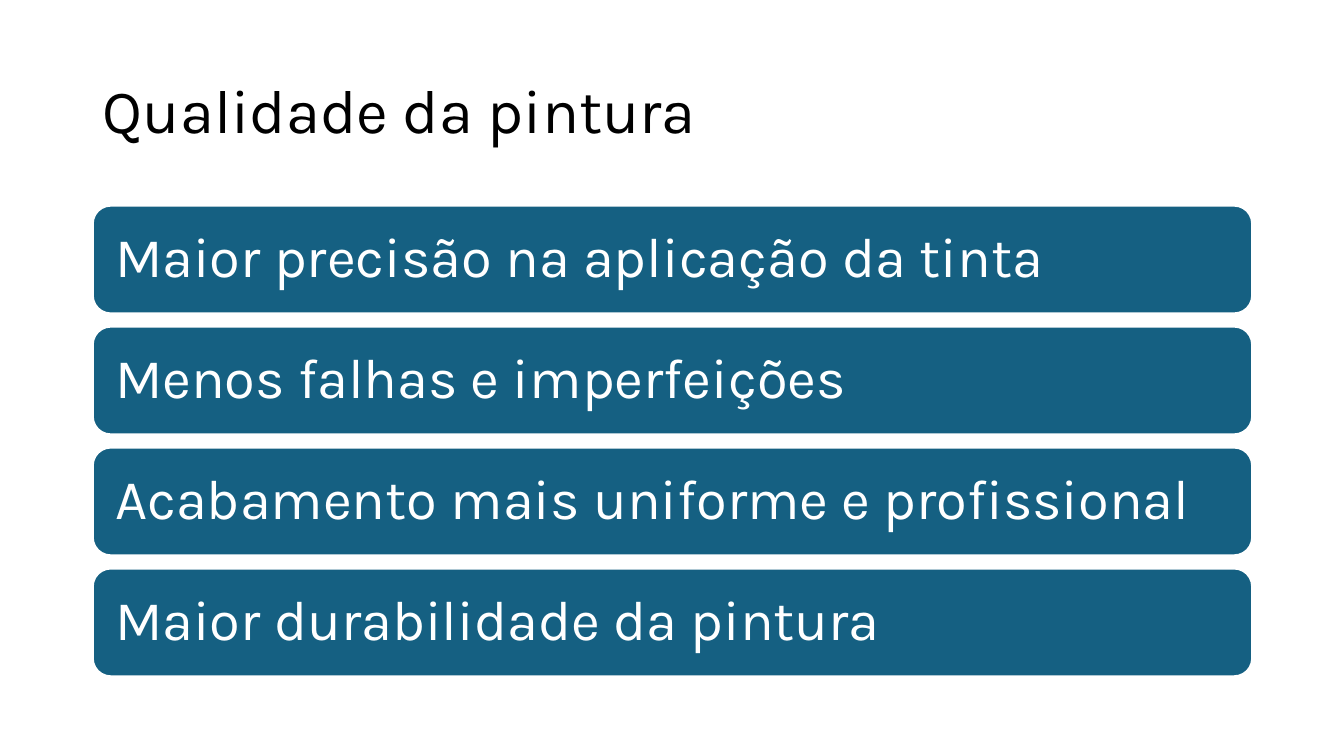
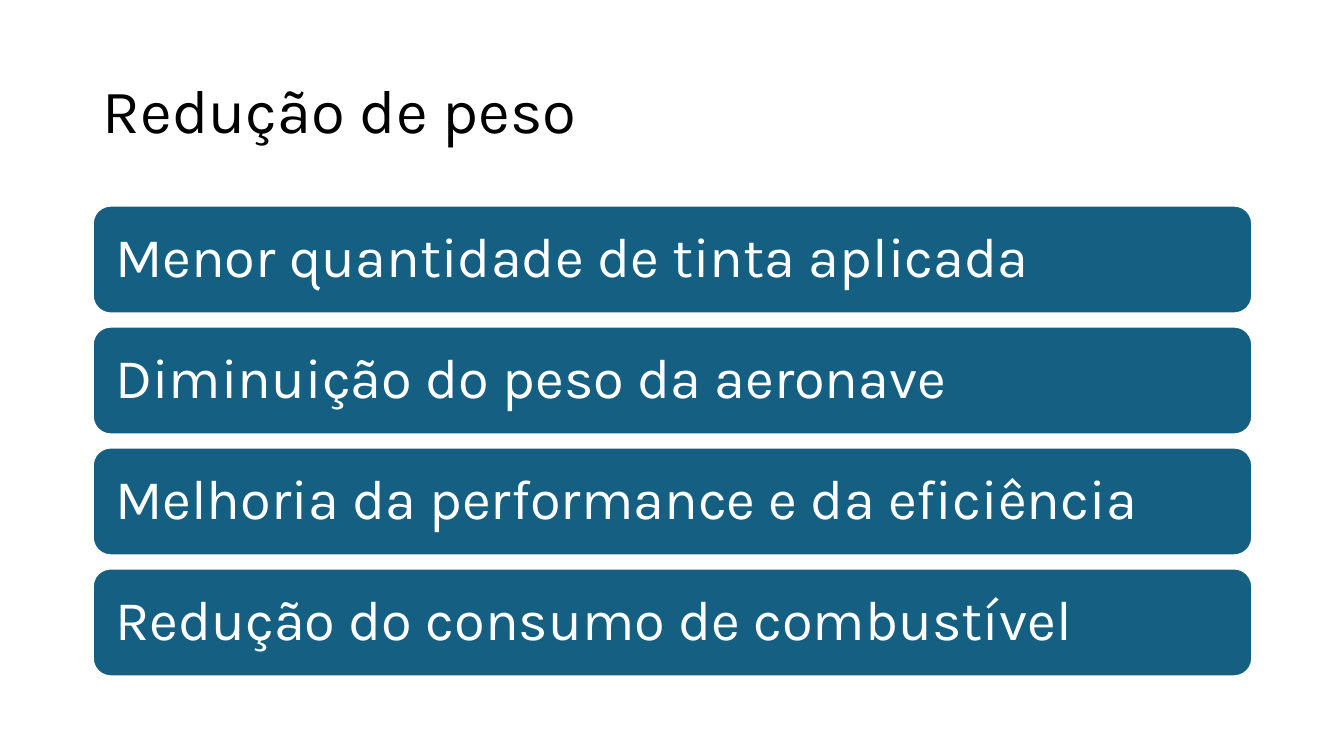
import dataclasses

import pptx
import pptx.dml.color
import pptx.enum.shapes
import pptx.enum.text
import pptx.util

SLIDES = [
    ("Qualidade da pintura", [
        "Maior precisão na aplicação da tinta",
        "Menos falhas e imperfeições",
        "Acabamento mais uniforme e profissional",
        "Maior durabilidade da pintura",
    ]),
    ("Redução de peso", [
        "Menor quantidade de tinta aplicada",
        "Diminuição do peso da aeronave",
        "Melhoria da performance e da eficiência",
        "Redução do consumo de combustível",
    ]),
]


@dataclasses.dataclass(frozen=True)
class Theme:
    font: str = "Karla"
    title_size: int = 44
    bar_size: int = 40
    line_spacing: float = 0.9
    ink: str = "000000"
    paper: str = "FFFFFF"
    bar: str = "156082"
    outline: float = 1.5


THEME = Theme()

# Lengths in inches
WIDTH, HEIGHT = 13.33, 7.5
MARGIN = 0.92
CONTENT_WIDTH = 11.5
TITLE_TOP, TITLE_HEIGHT = 0.4, 1.45
BARS_TOP, BAR_HEIGHT, BAR_PITCH = 2.04, 1.07, 1.2
TITLE_INSETS = (0.1, 0.05)
BAR_INSETS = (0.17, 0.17)


def rgb(color):
    return pptx.dml.color.RGBColor.from_string(color)


def place(shape, top, height):
    """Put a shape in the content column."""
    shape.left, shape.top, shape.width, shape.height = map(
        pptx.util.Inches, (MARGIN, top, CONTENT_WIDTH, height))


def write(shape, text, size, color, insets):
    """Fill a shape with one left-aligned, vertically centred line."""
    frame = shape.text_frame
    frame.word_wrap = True
    frame.auto_size = pptx.enum.text.MSO_AUTO_SIZE.NONE
    frame.vertical_anchor = pptx.enum.text.MSO_ANCHOR.MIDDLE
    across, down = map(pptx.util.Inches, insets)
    frame.margin_left = frame.margin_right = across
    frame.margin_top = frame.margin_bottom = down
    para = frame.paragraphs[0]
    para.alignment = pptx.enum.text.PP_ALIGN.LEFT
    para.line_spacing = THEME.line_spacing
    span = para.add_run()
    span.text = text
    span.font.name = THEME.font
    span.font.size = pptx.util.Pt(size)
    span.font.color.rgb = rgb(color)


def add_title(page, text):
    title = page.shapes.title
    place(title, TITLE_TOP, TITLE_HEIGHT)
    write(title, text, THEME.title_size, THEME.ink, TITLE_INSETS)


def add_bar(page, row, text):
    bar = page.shapes.add_shape(
        pptx.enum.shapes.MSO_SHAPE.ROUNDED_RECTANGLE, 0, 0, 0, 0)
    place(bar, BARS_TOP + row * BAR_PITCH, BAR_HEIGHT)
    bar.shadow.inherit = False
    bar.fill.solid()
    bar.fill.fore_color.rgb = rgb(THEME.bar)
    bar.line.color.rgb = rgb(THEME.paper)
    bar.line.width = pptx.util.Pt(THEME.outline)
    write(bar, text, THEME.bar_size, THEME.paper, BAR_INSETS)


def main():
    deck = pptx.Presentation()
    deck.slide_width = pptx.util.Inches(WIDTH)
    deck.slide_height = pptx.util.Inches(HEIGHT)
    title_only = deck.slide_layouts.get_by_name("Title Only")
    for title, benefits in SLIDES:
        page = deck.slides.add_slide(title_only)
        add_title(page, title)
        for row, benefit in enumerate(benefits):
            add_bar(page, row, benefit)
    deck.save("out.pptx")


if __name__ == "__main__":
    main()
